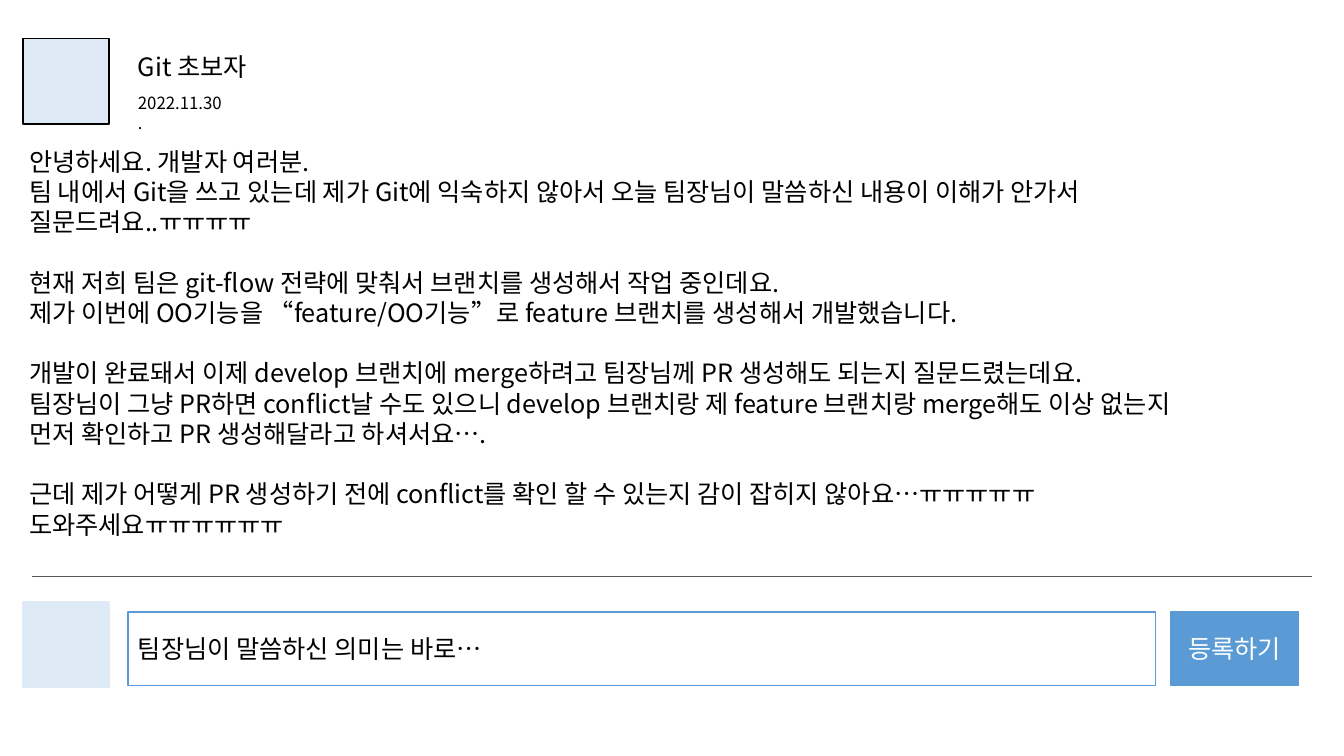
from pptx import Presentation
from pptx.dml.color import RGBColor as Rgb
from pptx.enum.shapes import MSO_CONNECTOR as Conn, MSO_SHAPE as Kind
from pptx.enum.text import MSO_ANCHOR as Anchor, PP_ALIGN as Align
from pptx.oxml.ns import qn
from pptx.util import Emu, Pt
from lxml.etree import SubElement as Sub

PX = 9144  # 100 px to the inch
FONT = "Noto Sans CJK KR"
PITCH = 21.6  # line height of the post, in points
HEX = {
    "white": "FFFFFF",
    "black": "000000",
    "blue": "5B9BD5",
    "pale": "DEEBF7",
    "gray": "595959",
}
POST = [
    ["안녕하세요. 개발자 여러분.",
     "팀 내에서 Git을 쓰고 있는데 제가 Git에 익숙하지 않아서 오늘 팀장님이 말씀하신 내용이 이해가 안가서",
     "질문드려요..ㅠㅠㅠㅠ"],
    ["현재 저희 팀은 git-flow 전략에 맞춰서 브랜치를 생성해서 작업 중인데요.",
     "제가 이번에 OO기능을 “feature/OO기능”로 feature 브랜치를 생성해서 개발했습니다."],
    ["개발이 완료돼서 이제 develop 브랜치에 merge하려고 팀장님께 PR 생성해도 되는지 질문드렸는데요.",
     "팀장님이 그냥 PR하면 conflict날 수도 있으니 develop 브랜치랑 제 feature 브랜치랑 merge해도 이상 없는지",
     "먼저 확인하고 PR 생성해달라고 하셔서요…."],
    ["근데 제가 어떻게 PR 생성하기 전에 conflict를 확인 할 수 있는지 감이 잡히지 않아요…ㅠㅠㅠㅠㅠ",
     "도와주세요ㅠㅠㅠㅠㅠㅠ"],
]


def px(*nums):
    return [Emu(n * PX) for n in nums]


def tint(name):
    return Rgb.from_string(HEX[name])


def add_run(para, text, size=18, color="black"):
    run = para.add_run()
    run.text = text
    run.font.size = Pt(size)
    run.font.name = FONT
    run.font.color.rgb = tint(color)
    Sub(run.font._element, qn("a:ea"), typeface=FONT)


def add_box(slide, area, fill="white", line=None):
    box = slide.shapes.add_shape(Kind.RECTANGLE, *px(*area))
    box.shadow.inherit = False
    box.fill.solid()
    box.fill.fore_color.rgb = tint(fill)
    if line:
        box.line.color.rgb = tint(line)
        box.line.width = Pt(1)
    else:
        box.line.fill.background()
    frame = box.text_frame
    frame.word_wrap = True
    frame.vertical_anchor = Anchor.MIDDLE if line else Anchor.TOP
    return frame


def add_label(slide, area, text, size=18, color="black",
              align=Align.LEFT, **style):
    para = add_box(slide, area, **style).paragraphs[0]
    para.alignment = align
    add_run(para, text, size, color)


def add_post(slide, area, blocks):
    frame = add_box(slide, area)
    for i, block in enumerate(blocks):
        for j, text in enumerate(block):
            first = i == j == 0
            para = frame.paragraphs[0] if first else frame.add_paragraph()
            para.alignment = Align.LEFT
            para.line_spacing = Pt(PITCH)
            para.space_before = Pt(PITCH if i and not j else 0)
            add_run(para, text)


def add_rule(slide, left, right, top):
    rule = slide.shapes.add_connector(
        Conn.STRAIGHT, *px(left, top, right, top))
    rule.line.color.rgb = tint("gray")
    rule.line.width = Pt(0.5)
    Sub(rule._element.spPr, qn("a:effectLst"))


def main():
    deck = Presentation()
    deck.slide_width, deck.slide_height = px(1333, 750)
    slide = deck.slides.add_slide(deck.slide_layouts[6])

    # Question and its author
    add_post(slide, (19, 140, 1254, 404), POST)
    add_label(slide, (127, 46, 137, 40), "Git 초보자")
    add_label(slide, (127, 87, 106, 30), "2022.11.30.", size=12)

    # Reply field and button
    add_label(slide, (127, 607, 1019, 73), "팀장님이 말씀하신 의미는 바로…",
              line="blue")
    add_label(slide, (1161, 607, 127, 73), "등록하기", color="white",
              align=Align.CENTER, fill="blue", line="blue")
    add_rule(slide, 32, 1301, 572)

    # Profile squares
    for top, line in ((38, "black"), (597, "pale")):
        add_box(slide, (23, top, 85, 85), "pale", line)

    deck.save("out.pptx")


if __name__ == "__main__":
    main()
